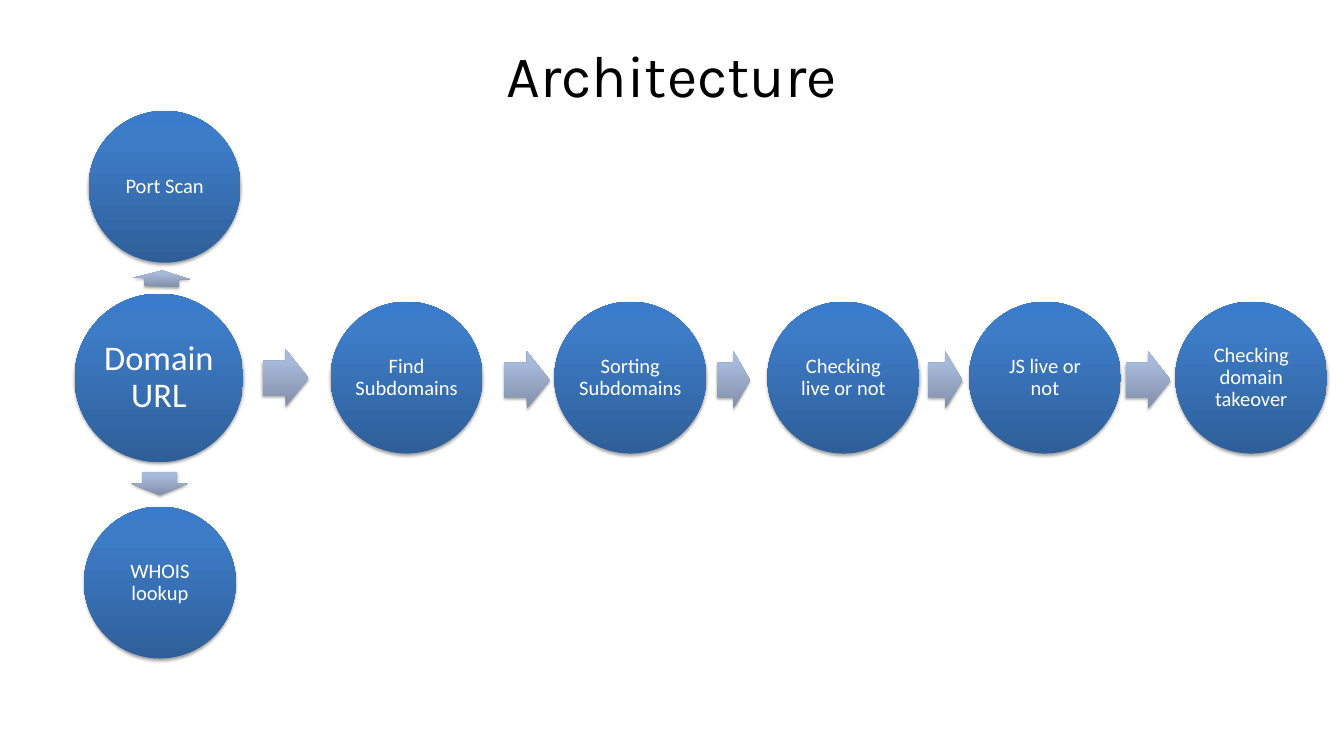
import copy

import pptx
import pptx.dml.color
import pptx.enum.shapes
import pptx.enum.text
import pptx.oxml
import pptx.oxml.ns
import pptx.util
from pptx.util import Inches

SHAPES = pptx.enum.shapes.MSO_SHAPE
CIRCLE_SIZE = 2.26
HUB_SIZE = 2.51
ARROW_HEIGHT = 0.85
CIRCLE_GRADIENT = [(0, "2F5F99"), (0.8, "3D7CC7"), (1, "3A7CCB")]
ARROW_GRADIENT = [(0, "818FA8"), (0.8, "A7B9DA"), (1, "A7BADC")]
SHADOW_XML = (
    f'<a:outerShdw {pptx.oxml.ns.nsdecls("a")} blurRad="39370" dist="22860" '
    'dir="5400000" rotWithShape="0"><a:srgbClr val="000000">'
    '<a:alpha val="35000"/></a:srgbClr></a:outerShdw>'
)


def color(value):
    return pptx.dml.color.RGBColor.from_string(value)


def write_text(frame, text, size, font="Calibri", fill="FFFFFF", spacing=0.9,
               inset=0.03, anchor=pptx.enum.text.MSO_ANCHOR.MIDDLE):
    frame.word_wrap = True
    frame.vertical_anchor = anchor
    frame.margin_left = frame.margin_right = Inches(inset)
    frame.margin_top = frame.margin_bottom = Inches(inset)
    paragraph = frame.paragraphs[0]
    paragraph.alignment = pptx.enum.text.PP_ALIGN.CENTER
    paragraph.line_spacing = spacing
    run = paragraph.add_run()
    run.text = text
    run.font.size = pptx.util.Pt(size)
    run.font.name = font
    run.font.color.rgb = color(fill)


def add_shaded_shape(slide, kind, left, top, width, height, gradient):
    shape = slide.shapes.add_shape(
        kind, Inches(left), Inches(top), Inches(width), Inches(height))
    shape.line.fill.background()
    shape.fill.gradient()
    shape.fill.gradient_angle = 90
    properties = shape.element.spPr
    properties.find(pptx.oxml.ns.qn("a:gradFill")).set("rotWithShape", "0")
    stop_list = next(properties.iter(pptx.oxml.ns.qn("a:gsLst")))
    stop_list.append(copy.deepcopy(stop_list[-1]))
    for stop, (position, value) in zip(shape.fill.gradient_stops, gradient):
        stop.position = position
        stop.color.rgb = color(value)
    shape.shadow.inherit = False
    effects = properties.find(pptx.oxml.ns.qn("a:effectLst"))
    effects.append(pptx.oxml.parse_xml(SHADOW_XML))
    return shape


def add_circle(slide, left, top, text, diameter=CIRCLE_SIZE, size=22, inset=0.03):
    circle = add_shaded_shape(
        slide, SHAPES.OVAL, left, top, diameter, diameter, CIRCLE_GRADIENT)
    write_text(circle.text_frame, text, size, inset=inset)


def add_arrow(slide, left, top, width, rotation=0):
    arrow = add_shaded_shape(
        slide, SHAPES.RIGHT_ARROW, left, top, width, ARROW_HEIGHT, ARROW_GRADIENT)
    arrow.adjustments[0] = 0.6
    arrow.adjustments[1] = 0.5
    arrow.rotation = rotation


def add_title(slide, left, top, width, height, text):
    title = slide.shapes.add_textbox(
        Inches(left), Inches(top), Inches(width), Inches(height))
    write_text(title.text_frame, text, 63, font="Karla", fill="000000",
               spacing=pptx.util.Pt(69.3), inset=0,
               anchor=pptx.enum.text.MSO_ANCHOR.TOP)


def add_domain_column(slide, left, top):
    add_circle(slide, left, top + 2.72, "Domain URL", HUB_SIZE, size=37, inset=0.05)
    add_arrow(slide, left + 1.18, top + 2.07, 0.24, rotation=271.7)
    add_circle(slide, left + 0.21, top, "Port Scan")
    add_arrow(slide, left + 1.09, top + 5.12, 0.35, rotation=89.8)
    add_circle(slide, left + 0.14, top + 5.89, "WHOIS lookup")


def add_subdomain_chain(slide, left, top):
    steps = [
        (0, 0.71, 0.68, 1.01, "Find Subdomains"),
        (3.59, 0.74, 0.68, 4.34, "Sorting Subdomains"),
        (6.76, 0.74, 0.49, 7.51, "Checking live or not"),
        (9.9, 0.74, 0.51, 10.51, "JS live or not"),
        (12.84, 0.74, 0.67, 13.58, "Checking domain takeover"),
    ]
    for arrow_left, arrow_top, arrow_width, circle_left, text in steps:
        add_arrow(slide, left + arrow_left, top + arrow_top, arrow_width)
        add_circle(slide, left + circle_left, top, text)


def main():
    presentation = pptx.Presentation()
    presentation.slide_width = Inches(20)
    presentation.slide_height = Inches(11.25)
    slide = presentation.slides.add_slide(presentation.slide_layouts[6])
    add_title(slide, 1.12, 0.66, 17.75, 0.98, "Architecture")
    add_domain_column(slide, 1.11, 1.65)
    add_subdomain_chain(slide, 3.91, 4.49)
    presentation.save("out.pptx")


if __name__ == "__main__":
    main()
